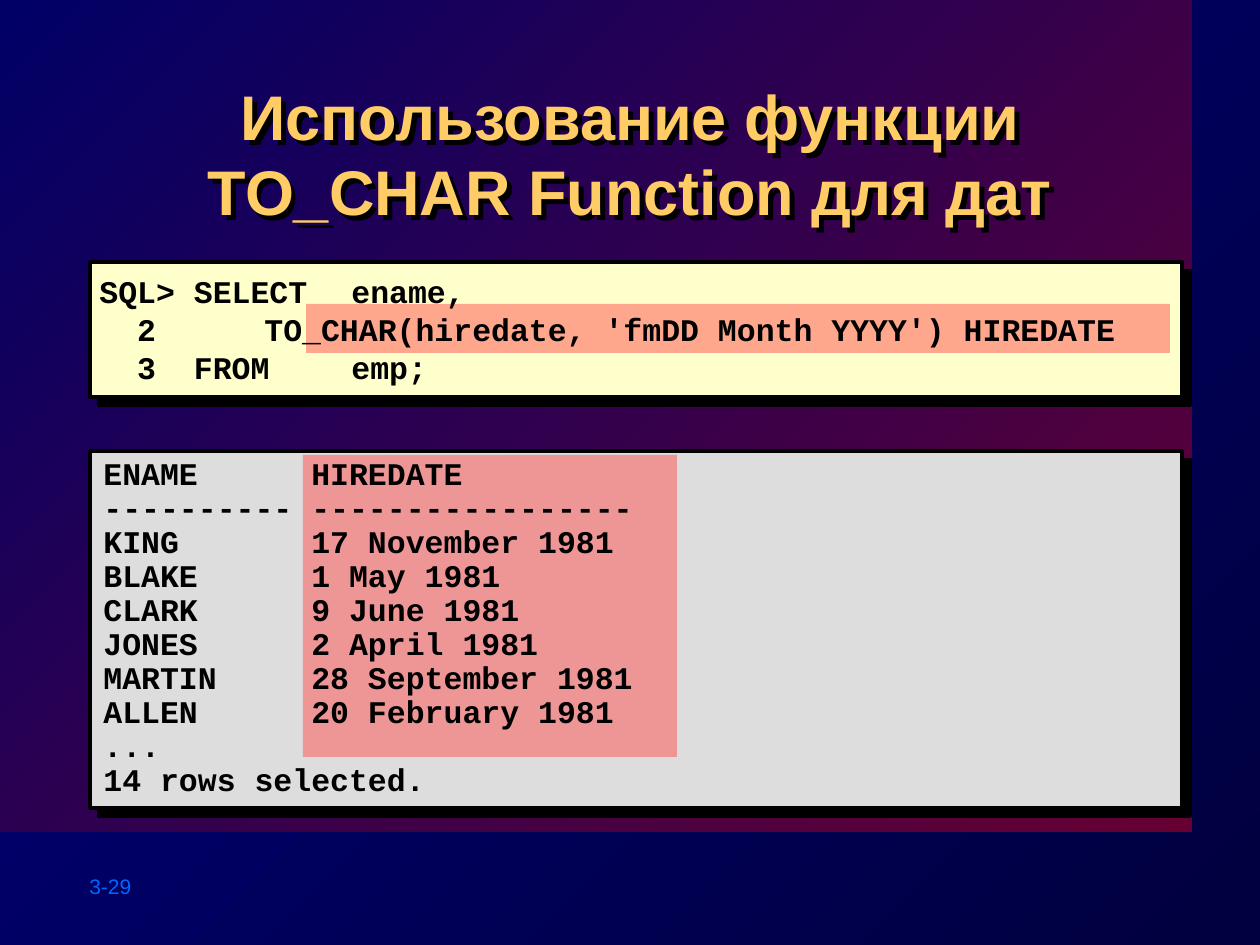
import pptx
import pptx.util
import pptx.dml.color
import pptx.enum.shapes
import pptx.enum.text
import pptx.oxml.ns
import lxml.etree

RGBColor = pptx.dml.color.RGBColor
NAVY_DARK = RGBColor(0x00, 0x00, 0x3F)
NAVY = RGBColor(0x00, 0x00, 0x80)
WINE = RGBColor(0x66, 0x00, 0x33)
INDIGO = RGBColor(0x00, 0x00, 0x66)
GOLD = RGBColor(0xFF, 0xCC, 0x66)
CREAM = RGBColor(0xFF, 0xFF, 0xCC)
GREY = RGBColor(0xDD, 0xDD, 0xDD)
RED = RGBColor(0xFF, 0x50, 0x50)
BLUE = RGBColor(0x00, 0x66, 0xFF)
BLACK = RGBColor(0x00, 0x00, 0x00)

PX = 914400 / 126
Pt = pptx.util.Pt
qn = pptx.oxml.ns.qn
Anchor = pptx.enum.text.MSO_ANCHOR
RECTANGLE = pptx.enum.shapes.MSO_SHAPE.RECTANGLE
TAB_STOPS = (0, 165, 252, 378, 504, 630, 756, 882)


def add_shadow(shape, distance):
    """Give a shape a hard black shadow falling to the lower right."""
    effects = lxml.etree.SubElement(shape.element.spPr, qn("a:effectLst"))
    shadow = lxml.etree.SubElement(
        effects, qn("a:outerShdw"), blurRad="0", dist=str(Pt(distance)),
        dir="2700000", algn="ctr", rotWithShape="0")
    lxml.etree.SubElement(shadow, qn("a:srgbClr"), val=str(BLACK))


def write_lines(shape, text, font_name, size, color, bold, spacing):
    """Put text in a shape and format every paragraph alike."""
    shape.text_frame.text = text
    shape.text_frame.word_wrap = True
    for paragraph in shape.text_frame.paragraphs:
        paragraph.line_spacing = spacing
        for run in paragraph.runs:
            run.font.name = font_name
            run.font.size = Pt(size)
            run.font.bold = bold
            run.font.color.rgb = color


presentation = pptx.Presentation()
presentation.slide_width = round(1260 * PX)
presentation.slide_height = round(945 * PX)
slide = presentation.slides.add_slide(presentation.slide_layouts[5])

# Background and large backdrop, both shaded towards the upper left
backdrop = slide.shapes.add_shape(RECTANGLE, 0, 0, round(1192 * PX), round(832 * PX))
backdrop.shadow.inherit = False
backdrop.line.fill.background()
for fill, colors in ((slide.background.fill, (NAVY_DARK, NAVY)),
                     (backdrop.fill, (WINE, INDIGO))):
    fill.gradient()
    fill.gradient_angle = 135
    for stop, color in zip(fill.gradient_stops, colors):
        stop.color.rgb = color

# Panels for the query and its result
for top, height, color in ((262, 135, CREAM), (451, 357, GREY)):
    panel = slide.shapes.add_shape(
        RECTANGLE, *(round(value * PX) for value in (90, top, 1092, height)))
    panel.fill.solid()
    panel.fill.fore_color.rgb = color
    panel.line.color.rgb = BLACK
    panel.line.width = Pt(2)
    add_shadow(panel, 7.1)

# Title, brought in front of the backdrop; its shadow falls from the letters
title = slide.shapes.title
title.element.getparent().append(title.element)
title.left, title.top, title.width, title.height = (
    round(value * PX) for value in (127, 71, 1006, 121))
write_lines(title, "Использование функции TO_CHAR Function для дат",
            "Arial", 36, GOLD, True, 1.0)
title.text_frame.auto_size = pptx.enum.text.MSO_AUTO_SIZE.NONE
title.text_frame.vertical_anchor = Anchor.TOP
title.text_frame.paragraphs[0].alignment = pptx.enum.text.PP_ALIGN.CENTER
title.fill.background()
title.line.fill.background()
add_shadow(title, 4)

# Translucent highlights over the function call and its column
for box in ((306, 304, 864, 49), (303, 455, 374, 302)):
    highlight = slide.shapes.add_shape(RECTANGLE, *(round(value * PX) for value in box))
    highlight.shadow.inherit = False
    highlight.line.fill.background()
    highlight.fill.solid()
    highlight.fill.fore_color.rgb = RED
    color_element = highlight.element.spPr.find(qn("a:solidFill"))[0]
    lxml.etree.SubElement(color_element, qn("a:alpha"), val="50000")

# Query, result and page number
QUERY = """SQL> SELECT\tename,
  2    \tTO_CHAR(hiredate, 'fmDD Month YYYY') HIREDATE
  3  FROM  \temp;"""
RESULT = """ENAME      HIREDATE
---------- -----------------
KING       17 November 1981
BLAKE      1 May 1981
CLARK      9 June 1981
JONES      2 April 1981
MARTIN     28 September 1981
ALLEN      20 February 1981
...
14 rows selected."""
texts = (
    ((87, 236, 1060, 186), QUERY, "Courier New", 18, BLACK, True, 1.0, Anchor.MIDDLE),
    ((91, 452, 1000, 353), RESULT, "Courier New", 18, BLACK, True, 0.9, Anchor.TOP),
    ((77, 867, 140, 38), "3-29", "Arial", 12, BLUE, False, 1.0, Anchor.TOP),
)
for box, text, font_name, size, color, bold, spacing, anchor in texts:
    text_box = slide.shapes.add_textbox(*(round(value * PX) for value in box))
    write_lines(text_box, text, font_name, size, color, bold, spacing)
    text_box.text_frame.vertical_anchor = anchor
    if text == QUERY:
        for paragraph in text_box.text_frame.paragraphs:
            tabs = lxml.etree.SubElement(
                paragraph._p.get_or_add_pPr(), qn("a:tabLst"))
            for position in TAB_STOPS:
                lxml.etree.SubElement(
                    tabs, qn("a:tab"), pos=str(round(position * PX)), algn="l")

presentation.save("out.pptx")
